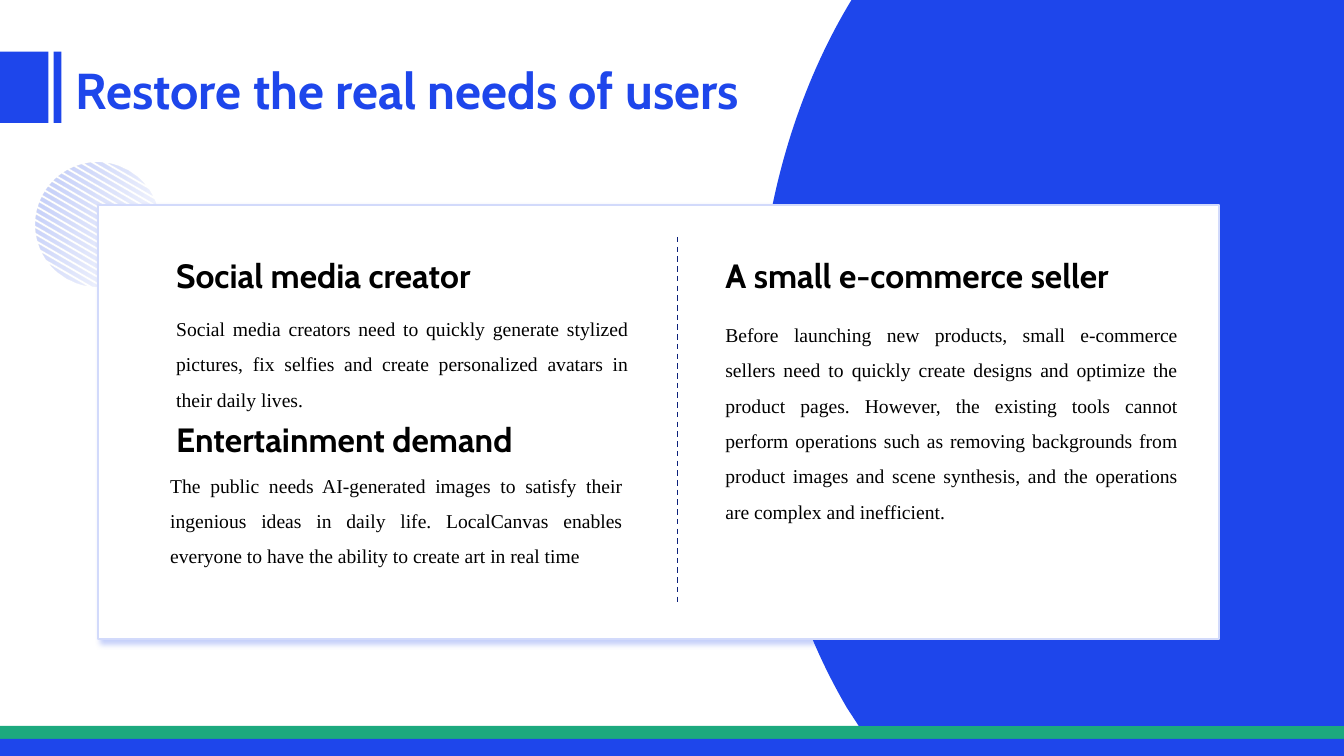
import math
from dataclasses import dataclass

import pptx
import pptx.dml.color
import pptx.enum.dml
import pptx.enum.shapes
import pptx.enum.text
import pptx.oxml.ns
import pptx.util
from lxml import etree

Cm = pptx.util.Cm
Pt = pptx.util.Pt
qn = pptx.oxml.ns.qn
SHAPE = pptx.enum.shapes.MSO_SHAPE
ALIGN = pptx.enum.text.PP_ALIGN
FIT = pptx.enum.text.MSO_AUTO_SIZE

BLUE, GREEN, WHITE, BLACK = "1E46EB", "1CA97E", "FFFFFF", "000000"
PALE, NAVY = "D2DAFB", "0B207A"
SLIDE_W, SLIDE_H = 33.87, 19.05

TITLE = {"size": Pt(36), "name": "Cabin", "bold": True}
HEADING = {"size": Pt(24), "name": "Cabin", "bold": True}
BODY = {"size": Pt(14), "name": "Times New Roman", "bold": False}
FRAME = {"word_wrap": True, "vertical_anchor": pptx.enum.text.MSO_ANCHOR.TOP}


@dataclass
class Bar:
    x: float
    y: float
    w: float
    h: float
    color: str


@dataclass
class Need:
    x: float
    y: float
    body_x: float
    body_y: float
    body_h: float
    heading: str
    body: str


BARS = [
    Bar(0, 18.29, SLIDE_W, 0.43, GREEN),
    Bar(0, 18.62, SLIDE_W, 0.43, BLUE),
    Bar(0, 1.3, 1.22, 1.8, BLUE),
    Bar(1.35, 1.3, 0.2, 1.8, BLUE),
]

NEEDS = [
    Need(4.19, 6.3, 4.19, 7.57, 2.84, "Social media creator",
         "Social media creators need to quickly generate stylized pictures, "
         "fix selfies and create personalized avatars in their daily lives."),
    Need(18.03, 6.3, 18.03, 7.72, 5.54, "A small e-commerce seller",
         "Before launching new products, small e-commerce sellers need to "
         "quickly create designs and optimize the product pages. However, the "
         "existing tools cannot perform operations such as removing "
         "backgrounds from product images and scene synthesis, and the "
         "operations are complex and inefficient."),
    Need(4.19, 10.44, 4.04, 11.51, 2.84, "Entertainment demand",
         "The public needs AI-generated images to satisfy their ingenious "
         "ideas in daily life. LocalCanvas enables everyone to have the "
         "ability to create art in real time"),
]


def rgb(color: str) -> pptx.dml.color.RGBColor:
    return pptx.dml.color.RGBColor.from_string(color)


def apply(target, values: dict) -> None:
    for key, value in values.items():
        setattr(target, key, value)


def set_alpha(clr, percent: int) -> None:
    etree.SubElement(clr, qn("a:alpha"), val=str(percent * 1000))


def paint(sp, color: str) -> None:
    sp.shadow.inherit = False
    sp.fill.solid()
    sp.fill.fore_color.rgb = rgb(color)
    sp.line.fill.background()


def write(sp, text: str, font: dict, color: str, align, spacing: float, fit) -> None:
    tf = sp.text_frame
    apply(tf, FRAME | {"auto_size": fit})
    p = tf.paragraphs[0]
    apply(p, {"alignment": align, "line_spacing": spacing})
    r = p.add_run()
    r.text = text
    apply(r.font, font)
    r.font.color.rgb = rgb(color)


def add_text(s, x: float, y: float, h: float, text: str, font: dict, spacing: float) -> None:
    sp = s.shapes.add_textbox(Cm(x), Cm(y), Cm(11.91), Cm(h))
    write(sp, text, font, BLACK, ALIGN.JUSTIFY, spacing, FIT.SHAPE_TO_FIT_TEXT)


def add_outline(s, contours: list):
    paths = [[(Cm(x), Cm(y)) for x, y in points] for points in contours]
    builder = s.shapes.build_freeform(*paths[0][0], scale=1.0)
    for i, points in enumerate(paths):
        if i:
            builder.move_to(*points[0])
        builder.add_line_segments(points[1:], close=True)
    return builder.convert_to_shape()


def bezier(a: tuple, b: tuple, c: tuple, d: tuple, steps: int = 40) -> list:
    points = []
    for i in range(steps + 1):
        t = i / steps
        weights = ((1 - t) ** 3, 3 * t * (1 - t) ** 2, 3 * t * t * (1 - t), t ** 3)
        points.append(tuple(sum(w * q[k] for w, q in zip(weights, (a, b, c, d)))
                            for k in (0, 1)))
    return points


def add_striped_circle(s) -> None:
    cx, cy, radius, count, thick = 2.46, 5.65, 1.56, 21, 0.1
    pitch = (2 * radius - thick) / (count - 1)
    stripes = []
    for i in range(count):
        top = -radius + i * pitch
        ys = [top + thick * k / 4 for k in range(5)]
        right = [(math.sqrt(max(radius ** 2 - y ** 2, 0)), y) for y in ys]
        left = [(-x, y) for x, y in reversed(right)]
        stripes.append([(cx + x, cy + y) for x, y in right + left])
    sp = add_outline(s, stripes)
    paint(sp, BLUE)
    sp.rotation = 30
    sp.fill.gradient()
    sp.fill.gradient_angle = 0
    for stop, position, alpha in zip(sp.fill.gradient_stops, (0, 0.76), (34, 3)):
        stop.position = position
        stop.color.rgb = rgb(BLUE)
    for clr, alpha in zip(sp._element.spPr.iter(qn("a:srgbClr")), (34, 3)):
        set_alpha(clr, alpha)


def add_blue_side(s) -> None:
    upper = bezier((21.34, 0.2), (19.94, 2.59), (19.08, 5.66), (19.08, 9.02))
    lower = [(x, 18.03 - y) for x, y in reversed(upper)]
    corners = [(21.64, 18.29), (SLIDE_W, 18.29), (SLIDE_W, 0), (21.46, 0)]
    paint(add_outline(s, [upper + lower + corners]), BLUE)


def add_card(s) -> None:
    sp = s.shapes.add_shape(SHAPE.ROUNDED_RECTANGLE, Cm(2.46), Cm(5.16), Cm(28.27), Cm(10.95))
    sp.adjustments[0] = 0
    paint(sp, WHITE)
    sp.line.color.rgb = rgb(PALE)
    sp.line.width = Pt(1.5)
    effects = sp._element.spPr.find(qn("a:effectLst"))
    shadow = etree.SubElement(effects, qn("a:outerShdw"), blurRad=str(Pt(4)),
                              dist=str(Pt(4)), dir="2700000", algn="tl", rotWithShape="0")
    set_alpha(etree.SubElement(shadow, qn("a:srgbClr"), val=BLUE), 26)


def add_divider(s) -> None:
    cn = s.shapes.add_connector(pptx.enum.shapes.MSO_CONNECTOR.STRAIGHT,
                                Cm(17.07), Cm(5.97), Cm(17.07), Cm(15.16))
    cn.line.color.rgb = rgb(NAVY)
    apply(cn.line, {"width": Pt(1), "dash_style": pptx.enum.dml.MSO_LINE.DASH})
    etree.SubElement(cn._element.spPr, qn("a:effectLst"))


def main() -> None:
    prs = pptx.Presentation()
    apply(prs, {"slide_width": Cm(SLIDE_W), "slide_height": Cm(SLIDE_H)})
    s = prs.slides.add_slide(prs.slide_layouts[5])
    title = s.shapes.title
    apply(title, {"left": Cm(1.65), "top": Cm(1.35), "width": Cm(30.99), "height": Cm(1.8)})
    write(title, "Restore the real needs of users", TITLE, BLUE, ALIGN.LEFT, 1.0, FIT.NONE)
    add_striped_circle(s)
    for bar in BARS:
        sp = s.shapes.add_shape(SHAPE.RECTANGLE, Cm(bar.x), Cm(bar.y), Cm(bar.w), Cm(bar.h))
        paint(sp, bar.color)
    add_blue_side(s)
    add_card(s)
    add_divider(s)
    for need in NEEDS:
        add_text(s, need.x, need.y, 1.27, need.heading, HEADING, 1.0)
        add_text(s, need.body_x, need.body_y, need.body_h, need.body, BODY, 1.5)
    prs.save("out.pptx")


if __name__ == "__main__":
    main()
